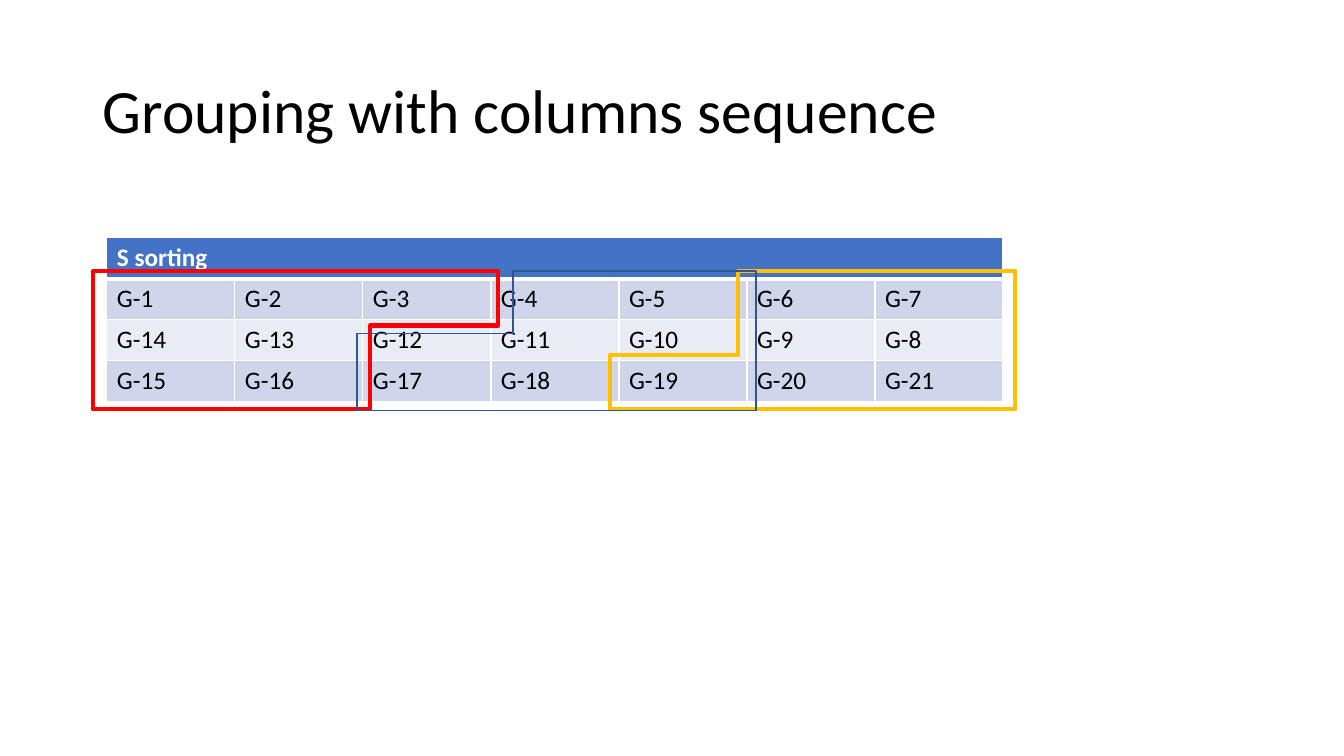
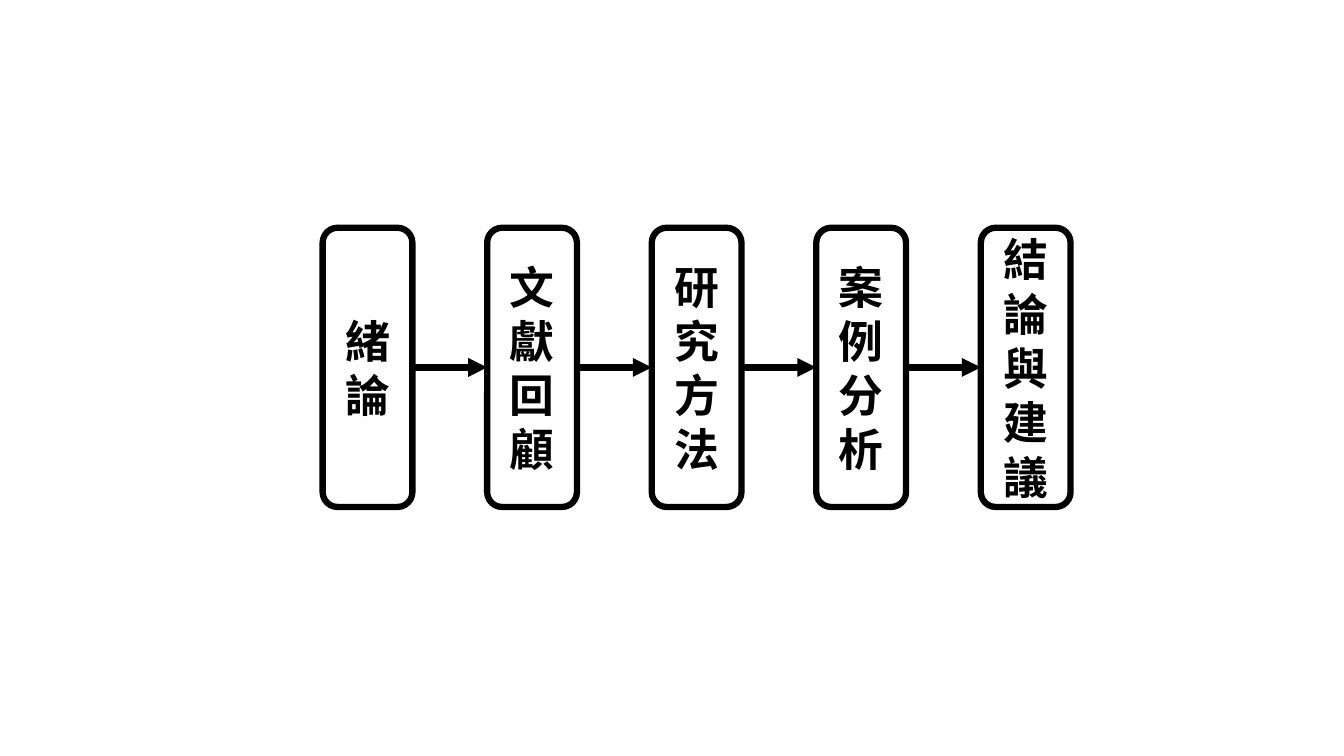
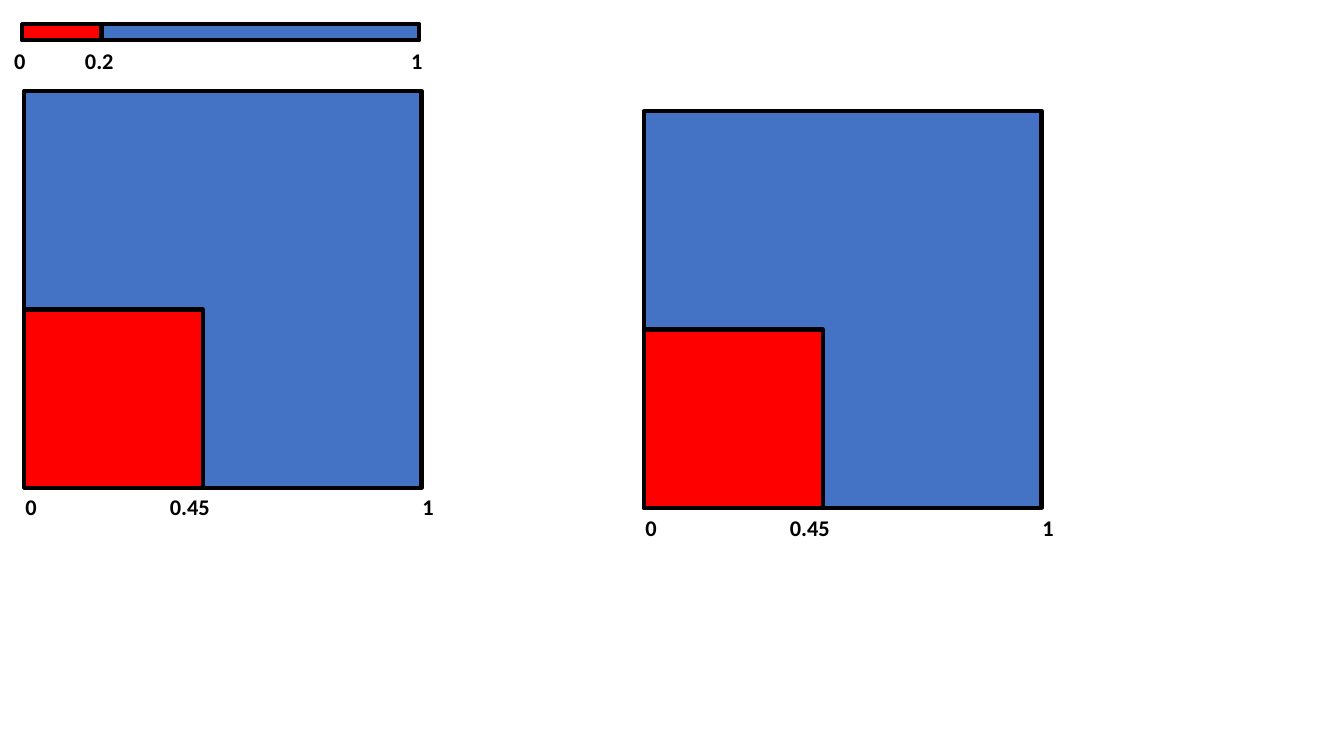
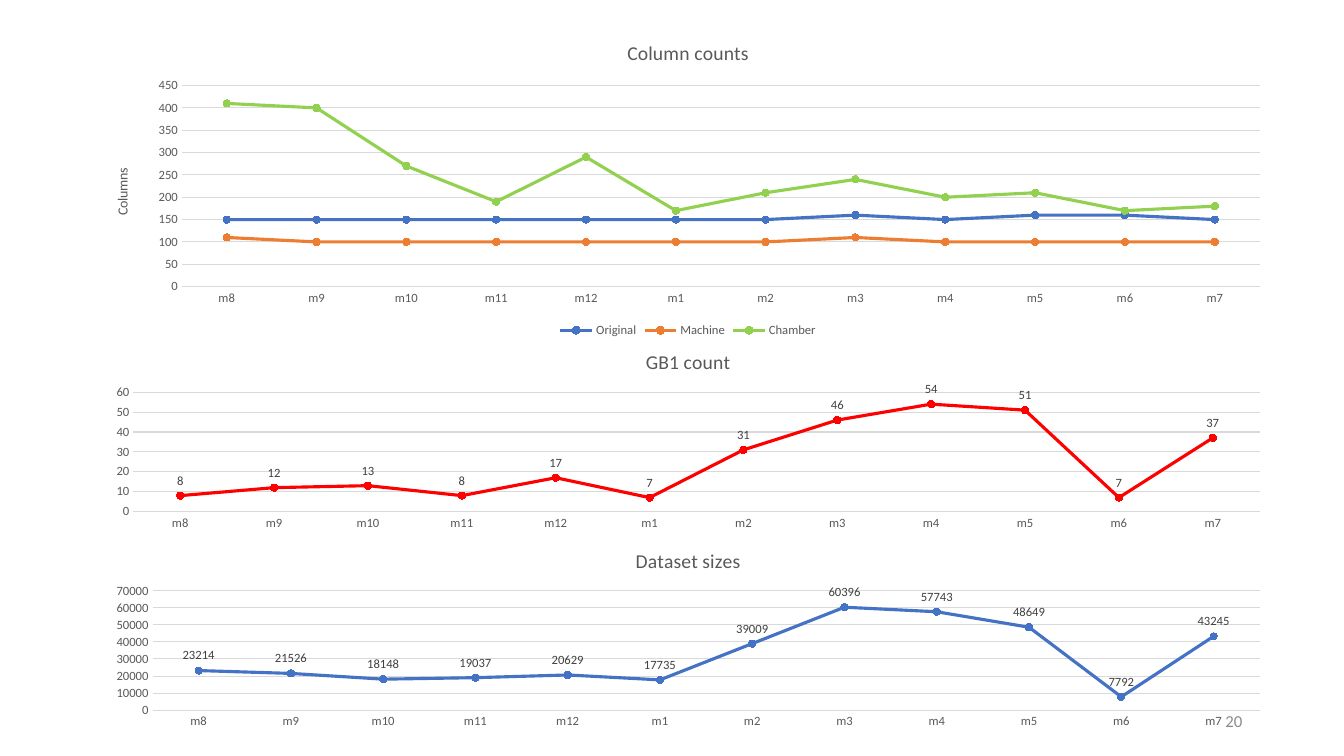
from lxml import etree
from pptx import Presentation
from pptx.chart.data import CategoryChartData
from pptx.dml.color import RGBColor
from pptx.enum.chart import (XL_CHART_TYPE, XL_LABEL_POSITION, XL_LEGEND_POSITION,
                             XL_MARKER_STYLE, XL_TICK_MARK)
from pptx.enum.shapes import MSO_CONNECTOR, MSO_SHAPE
from pptx.enum.text import MSO_ANCHOR, PP_ALIGN
from pptx.oxml.ns import qn
from pptx.util import Inches, Pt

# Colours
BLACK = RGBColor(0x00, 0x00, 0x00)
WHITE = RGBColor(0xFF, 0xFF, 0xFF)
BLUE = RGBColor(0x44, 0x72, 0xC4)
NAVY = RGBColor(0x32, 0x54, 0x91)
RED = RGBColor(0xFF, 0x00, 0x00)
GOLD = RGBColor(0xFF, 0xC0, 0x00)
ORANGE = RGBColor(0xED, 0x7D, 0x31)
GREEN = RGBColor(0x92, 0xD0, 0x50)
DARK_BAND = RGBColor(0xCF, 0xD5, 0xEA)
LIGHT_BAND = RGBColor(0xE9, 0xEB, 0xF5)
DARK_GREY = RGBColor(0x40, 0x40, 0x40)
GREY = RGBColor(0x59, 0x59, 0x59)
MID_GREY = RGBColor(0x8C, 0x8C, 0x8C)
PALE_GREY = RGBColor(0xD9, 0xD9, 0xD9)

# Fonts and enum members
FONT = "Calibri"
HAN_FONT = "Noto Sans CJK SC"
LEFT, CENTER, RIGHT = PP_ALIGN.LEFT, PP_ALIGN.CENTER, PP_ALIGN.RIGHT
MIDDLE, TOP = MSO_ANCHOR.MIDDLE, MSO_ANCHOR.TOP
RECT, ROUND = MSO_SHAPE.RECTANGLE, MSO_SHAPE.ROUNDED_RECTANGLE
STRAIGHT = MSO_CONNECTOR.STRAIGHT
LINE_CHART = XL_CHART_TYPE.LINE_MARKERS
CIRCLE = XL_MARKER_STYLE.CIRCLE
ABOVE = XL_LABEL_POSITION.ABOVE
BOTTOM = XL_LEGEND_POSITION.BOTTOM
NO_TICK = XL_TICK_MARK.NONE

# Layouts of the default template
TITLE_ONLY, BLANK = 5, 6

MONTHS = ["m8", "m9", "m10", "m11", "m12", "m1",
          "m2", "m3", "m4", "m5", "m6", "m7"]


def style(font, size, color, bold=False, name=FONT):
    font.name, font.size, font.bold = name, Pt(size), bold
    font.color.rgb = color


def write(frame, text, size=18, color=BLACK, bold=False, name=FONT,
          align=LEFT, spacing=None):
    para = frame.paragraphs[0]
    para.alignment, para.line_spacing = align, spacing
    run = para.add_run()
    run.text = text
    style(run.font, size, color, bold, name)
    east = etree.SubElement(run.font._element, qn("a:ea"))
    east.set("typeface", name)


def outline(shape, color, width, fill=None):
    shape.shadow.inherit = False
    if fill is None:
        shape.fill.background()
    else:
        shape.fill.solid()
        shape.fill.fore_color.rgb = fill
    shape.line.color.rgb = color
    shape.line.width = Pt(width)


def add_box(slide, kind, left, top, width, height, line, fill=None):
    box = slide.shapes.add_shape(kind, left, top, width, height)
    outline(box, BLACK, line, fill)
    return box


def add_title(slide, text):
    title = slide.shapes.title
    title.left, title.top = Inches(0.92), Inches(0.4)
    title.width, title.height = Inches(11.5), Inches(1.45)
    title.text_frame.vertical_anchor = MIDDLE
    write(title.text_frame, text, size=44, spacing=0.9)


def add_loop(slide, points, color, width):
    spots = [(Inches(x), Inches(y)) for x, y in points]
    pen = slide.shapes.build_freeform(*spots[0], scale=1.0)
    pen.add_line_segments(spots[1:], close=True)
    outline(pen.convert_to_shape(), color, width)


def add_arrow(slide, start, end, y):
    arrow = slide.shapes.add_connector(STRAIGHT, start, y, end, y)
    arrow.line.color.rgb = BLACK
    arrow.line.width = Pt(4.5)
    etree.SubElement(arrow.line._get_or_add_ln(), qn("a:tailEnd")).set("type", "triangle")
    etree.SubElement(arrow._element.spPr, qn("a:effectLst"))


def set_edges(cell, top, bottom):
    props = cell._tc.get_or_add_tcPr()
    widths = {"lnL": 1, "lnR": 1, "lnT": top, "lnB": bottom}
    for place, (tag, width) in enumerate(widths.items()):
        edge = etree.Element(qn("a:" + tag), w=str(Pt(width)))
        fill = etree.SubElement(edge, qn("a:solidFill"))
        etree.SubElement(fill, qn("a:srgbClr")).set("val", str(WHITE))
        props.insert(place, edge)


def add_grid(slide, left, top, widths, rows, fills, anchor=TOP, head=None, **look):
    """Table whose first row ends in a thick white rule; head formats that row."""
    high = Inches(0.405)
    grid = slide.shapes.add_table(len(rows), len(widths), left, top,
                                  sum(widths), high * len(rows)).table
    for column, width in zip(grid.columns, widths):
        column.width = width
    for r, (row, fill) in enumerate(zip(rows, fills)):
        grid.rows[r].height = high
        for c, text in enumerate(row):
            cell = grid.cell(r, c)
            cell.fill.solid()
            cell.fill.fore_color.rgb = fill
            cell.vertical_anchor = anchor
            set_edges(cell, 3 if r == 1 else 1, 3 if r == 0 else 1)
            if text:
                write(cell.text_frame, text, **(head if head and r == 0 else look))
    return grid


def add_scale(slide, left, top, unit, labels):
    """Row of eleven units; the middle label takes three of them."""
    widths = [unit * 3 if "." in text else unit for text in labels]
    add_grid(slide, left, top, widths, [labels], [WHITE], anchor=MIDDLE,
             size=16, bold=True, align=CENTER)


def add_share(slide, left, top, side, part):
    """Blue square with a red square in its lower left corner."""
    add_box(slide, RECT, left, top, side, side, 3, BLUE)
    add_box(slide, RECT, left, top + side - part, part, part, 3, RED)


def add_lines(slide, title, top, height, series, limit, step, unit=None):
    """Line chart; with a unit it has a legend, without one value labels."""
    data = CategoryChartData()
    data.categories = MONTHS
    for name, _, values in series:
        data.add_series(name, values)
    chart = slide.shapes.add_chart(LINE_CHART, Inches(0.92), Inches(top),
                                   Inches(11.81), Inches(height), data).chart
    style(chart.font, 10, BLACK)
    chart.has_title = True
    write(chart.chart_title.text_frame, title, size=14, color=GREY, align=CENTER)
    chart.chart_title.include_in_layout = False

    # Axes
    months, scale = chart.category_axis, chart.value_axis
    for axis in (months, scale):
        axis.major_tick_mark = axis.minor_tick_mark = NO_TICK
        style(axis.tick_labels.font, 9, GREY)
    months.format.line.color.rgb = PALE_GREY
    months.format.line.width = Pt(0.75)
    scale.format.line.fill.background()
    scale.minimum_scale, scale.maximum_scale, scale.major_unit = 0, limit, step
    scale.major_gridlines.format.line.color.rgb = PALE_GREY
    scale.major_gridlines.format.line.width = Pt(0.75)

    # Series
    plot = chart.plots[0]
    plot.vary_by_categories = False
    for line, (_, color, _) in zip(plot.series, series):
        line.smooth = False
        line.format.line.color.rgb = color
        line.format.line.width = Pt(2.25)
        line.marker.style, line.marker.size = CIRCLE, 5
        line.marker.format.fill.solid()
        line.marker.format.fill.fore_color.rgb = color
        line.marker.format.line.color.rgb = color

    # Legend or value labels
    chart.has_legend = unit is not None
    if unit:
        chart.legend.position = BOTTOM
        chart.legend.include_in_layout = False
        style(chart.legend.font, 9, GREY)
        write(scale.axis_title.text_frame, unit, size=10, color=GREY)
    else:
        plot.has_data_labels = True
        labels = plot.data_labels
        labels.show_value, labels.position = True, ABOVE
        style(labels.font, 9, DARK_GREY)


def draw_groups(slide):
    add_title(slide, "Grouping with columns sequence")
    # Numbers run in a snake: every second row goes backwards
    count = 7
    rows = [["S sorting"] + [""] * (count - 1)]
    for r in range(3):
        row = [f"G-{r * count + c + 1}" for c in range(count)]
        rows.append(row[::-1] if r % 2 else row)
    grid = add_grid(slide, Inches(1.06), Inches(2.36), [Inches(1.27)] * count, rows,
                    [BLUE, DARK_BAND, LIGHT_BAND, DARK_BAND],
                    head={"color": WHITE, "bold": True})
    grid.cell(0, 0).merge(grid.cell(0, count - 1))

    # The last group is the first one turned by half a circle
    first = [(0.92, 2.69), (4.94, 2.69), (4.94, 3.23),
             (3.67, 3.23), (3.67, 4.06), (0.92, 4.06)]
    last = [(10.99 - x, 6.75 - y) for x, y in first]
    middle = [(5.09, 2.69), (7.5, 2.69), (7.5, 4.07),
              (3.54, 4.07), (3.54, 3.31), (5.09, 3.31)]
    add_loop(slide, first, RED, 3)
    add_loop(slide, last, GOLD, 3)
    add_loop(slide, middle, NAVY, 1)


def draw_steps(slide):
    steps = ["緒論", "文獻回顧", "研究方法", "案例分析", "結論與建議"]
    left, top, pitch = Inches(3.2), Inches(2.26), Inches(1.632)
    width, height = Inches(0.89), Inches(2.77)
    for i, text in enumerate(steps):
        x = left + i * pitch
        box = add_box(slide, ROUND, x, top, width, height, 4.5)
        frame = box.text_frame
        frame.word_wrap, frame.vertical_anchor = True, MIDDLE
        write(frame, text, size=32, bold=True, name=HAN_FONT,
              align=CENTER, spacing=Pt(38.8))
        if i:
            add_arrow(slide, x - pitch + width, x, top + height // 2)


def draw_shares(slide):
    side, part = Inches(3.94), Inches(1.77)
    unit = side // 10
    plane = ["0", "", "", "0.45", "", "", "", "", "1"]
    line = ["0", "0.2", "", "", "", "", "", "", "1"]

    # Share along a line
    add_scale(slide, 0, Inches(0.41), unit, line)
    for width, color in ((side, BLUE), (unit * 2, RED)):
        add_box(slide, RECT, Inches(0.22), Inches(0.24), width, Inches(0.16), 3, color)

    # Share in a plane
    for left, top in ((0.24, 0.9), (6.39, 1.1)):
        x, y = Inches(left), Inches(top)
        add_scale(slide, x - Inches(0.13), y + side, unit, plane)
        add_share(slide, x, y, side, part)


def draw_counts(slide):
    add_lines(slide, "Dataset sizes", 5.3, 1.97, [
        ("Series 1", BLUE, [23214, 21526, 18148, 19037, 20629, 17735,
                            39009, 60396, 57743, 48649, 7792, 43245])], 70000, 10000)
    add_lines(slide, "Column counts", 0.24, 3.15, [
        ("Original", BLUE, [150, 150, 150, 150, 150, 150, 150, 160, 150, 160, 160, 150]),
        ("Machine", ORANGE, [110, 100, 100, 100, 100, 100, 100, 110, 100, 100, 100, 100]),
        ("Chamber", GREEN, [410, 400, 270, 190, 290, 170, 210, 240, 200, 210, 170, 180]),
    ], 450, 50, unit="Columns")
    add_lines(slide, "GB1 count", 3.33, 1.97, [
        ("GB1 count", RED, [8, 12, 13, 8, 17, 7, 31, 46, 54, 51, 7, 37])], 60, 10)

    # Page number
    page = slide.shapes.add_textbox(Inches(9.42), Inches(6.95), Inches(3), Inches(0.4))
    page.text_frame.word_wrap = True
    page.text_frame.vertical_anchor = MIDDLE
    write(page.text_frame, "20", size=12, color=MID_GREY, align=RIGHT)


def main():
    deck = Presentation()
    deck.slide_width, deck.slide_height = Inches(13.33), Inches(7.5)
    pages = [(TITLE_ONLY, draw_groups), (BLANK, draw_steps),
             (BLANK, draw_shares), (BLANK, draw_counts)]
    for layout, draw in pages:
        draw(deck.slides.add_slide(deck.slide_layouts[layout]))
    deck.save("out.pptx")


main()
